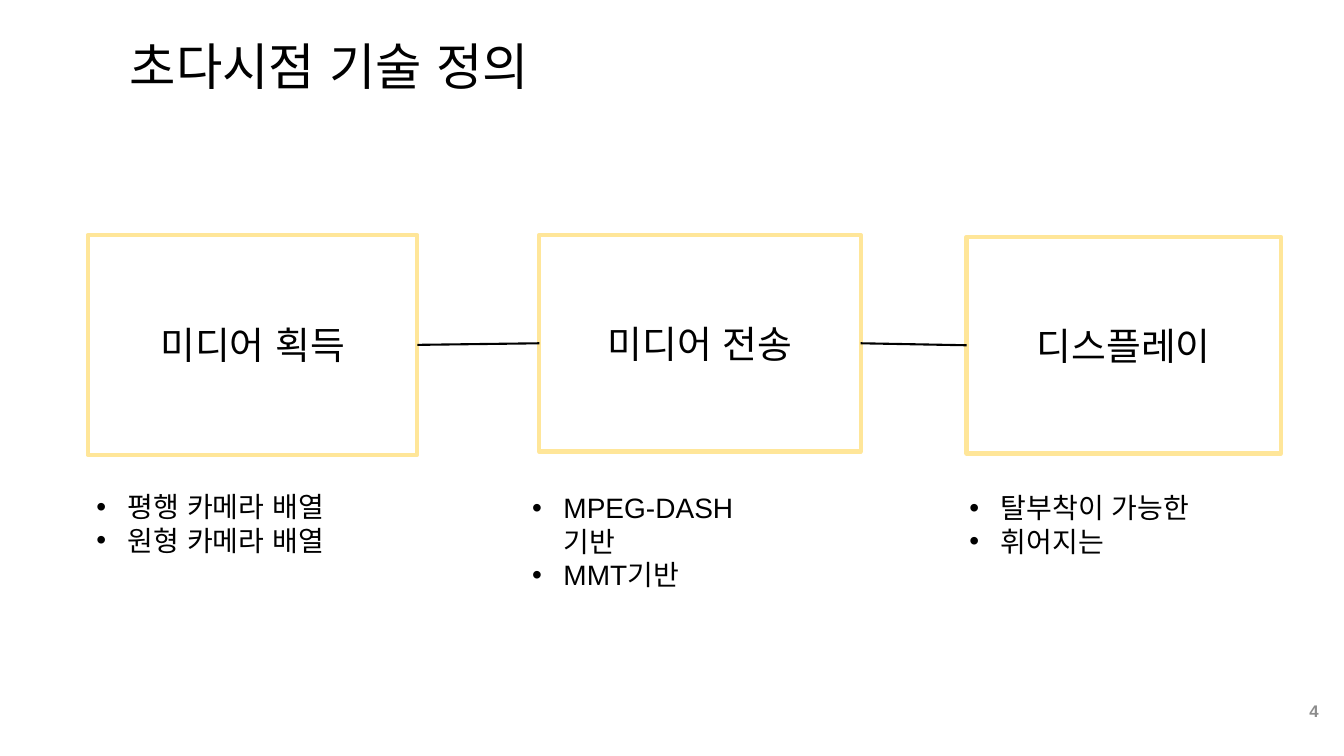
"""Builds the slide that defines super multi-view technology in three stages."""
from dataclasses import dataclass

import pptx
import pptx.dml.color
import pptx.enum.lang
import pptx.enum.shapes
import pptx.enum.text
import pptx.oxml
import pptx.oxml.ns
import pptx.util

Cm = pptx.util.Cm
Pt = pptx.util.Pt
ALIGN = pptx.enum.text.PP_ALIGN
MIDDLE = pptx.enum.text.MSO_ANCHOR.MIDDLE
RIGHT_SIDE, LEFT_SIDE = 3, 1


@dataclass(frozen=True)
class Theme:
    font: str = "Arial"
    ink: str = "000000"
    paper: str = "FFFFFF"
    frame: str = "FFE699"
    muted: str = "8C8C8C"
    title: int = 36
    stage: int = 27
    bullet: int = 20
    number: int = 12
    frame_width: float = 3
    link_width: float = 1.5


THEME = Theme()

STAGES = [
    ("미디어 획득", (2.21, 5.92, 8.31, 5.54),
     ("평행 카메라 배열", "원형 카메라 배열"), (1.12, 12.22, 8.36, 2.79), ALIGN.CENTER),
    ("미디어 전송", (13.59, 5.92, 8.1, 5.46),
     ("MPEG-DASH기반", "MMT기반"), (13.16, 12.24, 6.83, 1.96), ALIGN.LEFT),
    ("디스플레이", (24.36, 5.97, 7.92, 5.46),
     ("탈부착이 가능한", "휘어지는"), (24.18, 12.24, 6.55, 1.96), ALIGN.LEFT),
]


def rgb(code):
    return pptx.dml.color.RGBColor.from_string(code)


def write(paragraph, words, size, color=THEME.ink, align=ALIGN.LEFT, bold=False):
    paragraph.alignment = align
    run = paragraph.add_run()
    run.text = words
    run.font.name = THEME.font
    run.font.size = Pt(size)
    run.font.bold = bold
    run.font.color.rgb = rgb(color)
    run.font.language_id = pptx.enum.lang.MSO_LANGUAGE_ID.KOREAN


def add_bullet(paragraph):
    properties = paragraph._p.get_or_add_pPr()
    properties.set("marL", str(Cm(0.79)))
    properties.set("indent", str(-Cm(0.79)))
    namespace = pptx.oxml.ns.nsdecls("a")
    properties.append(pptx.oxml.parse_xml(f'<a:buFont {namespace} typeface="{THEME.font}"/>'))
    properties.append(pptx.oxml.parse_xml(f'<a:buChar {namespace} char="•"/>'))


def add_text_frame(slide, place, anchor=None):
    frame = slide.shapes.add_textbox(*map(Cm, place)).text_frame
    frame.word_wrap = True
    frame.vertical_anchor = anchor
    return frame


def add_stage(slide, name, place):
    stage = slide.shapes.add_shape(
        pptx.enum.shapes.MSO_SHAPE.RECTANGLE, *map(Cm, place))
    stage.shadow.inherit = False
    stage.fill.solid()
    stage.fill.fore_color.rgb = rgb(THEME.paper)
    stage.line.color.rgb = rgb(THEME.frame)
    stage.line.width = Pt(THEME.frame_width)
    stage.text_frame.vertical_anchor = MIDDLE
    write(stage.text_frame.paragraphs[0], name, THEME.stage, align=ALIGN.CENTER)
    return stage


def add_details(slide, details, place, align):
    frame = add_text_frame(slide, place)
    for index, detail in enumerate(details):
        paragraph = frame.add_paragraph() if index else frame.paragraphs[0]
        add_bullet(paragraph)
        write(paragraph, detail, THEME.bullet, align=align)


def add_link(slide, before, after):
    link = slide.shapes.add_connector(
        pptx.enum.shapes.MSO_CONNECTOR.STRAIGHT, 0, 0, 0, 0)
    link.begin_connect(before, RIGHT_SIDE)
    link.end_connect(after, LEFT_SIDE)
    link.line.color.rgb = rgb(THEME.ink)
    link.line.width = Pt(THEME.link_width)
    link._element.spPr.append(pptx.oxml.parse_xml(
        f'<a:effectLst {pptx.oxml.ns.nsdecls("a")}/>'))


def main():
    deck = pptx.Presentation()
    deck.slide_width, deck.slide_height = Cm(33.87), Cm(19.05)
    slide = deck.slides.add_slide(deck.slide_layouts[6])

    title = add_text_frame(slide, (3.02, 0.3, 22.83, 2.87), MIDDLE).paragraphs[0]
    title.line_spacing = 0.9
    write(title, "초다시점 기술 정의", THEME.title)

    stages = []
    for name, place, details, details_place, align in STAGES:
        stages.append(add_stage(slide, name, place))
        add_details(slide, details, details_place, align)
    for before, after in zip(stages, stages[1:]):
        add_link(slide, before, after)

    number = add_text_frame(slide, (25.86, 17.4, 7.62, 1.02), MIDDLE).paragraphs[0]
    write(number, "4", THEME.number, THEME.muted, ALIGN.RIGHT, bold=True)
    deck.save("out.pptx")


if __name__ == "__main__":
    main()
